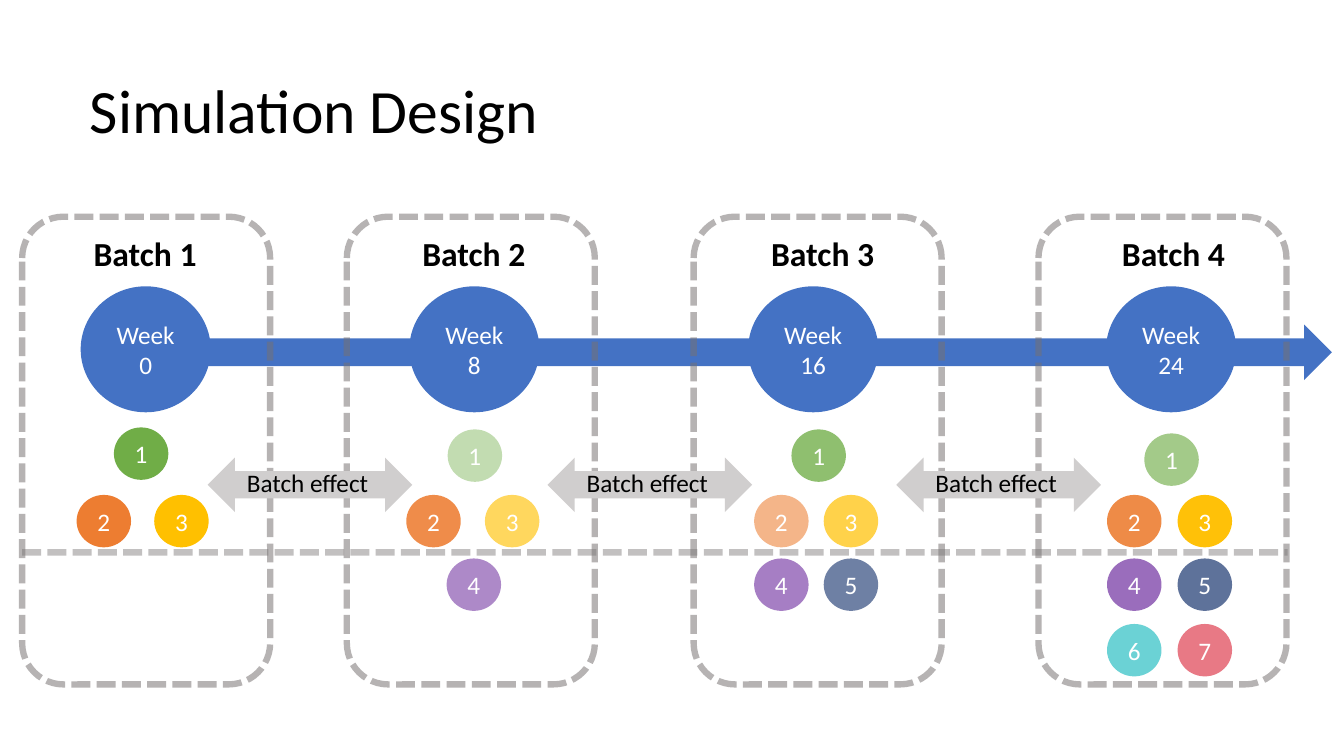
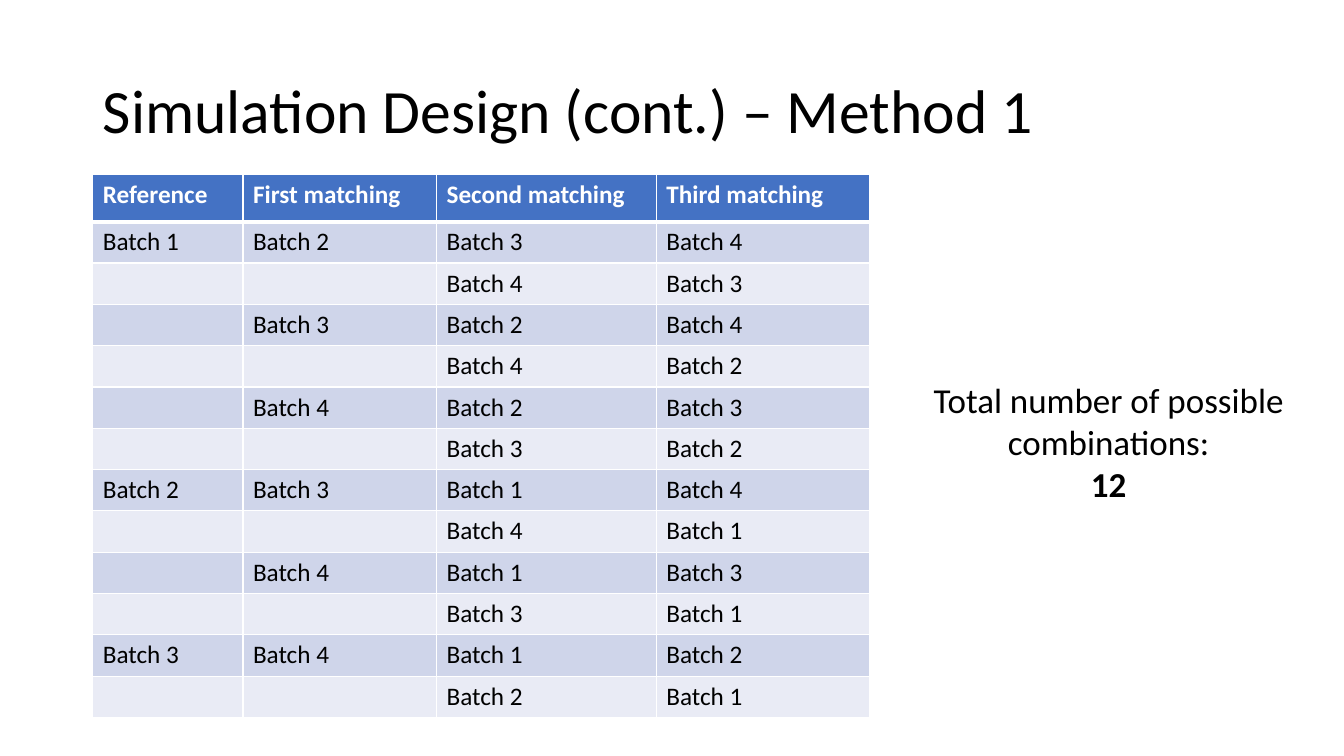
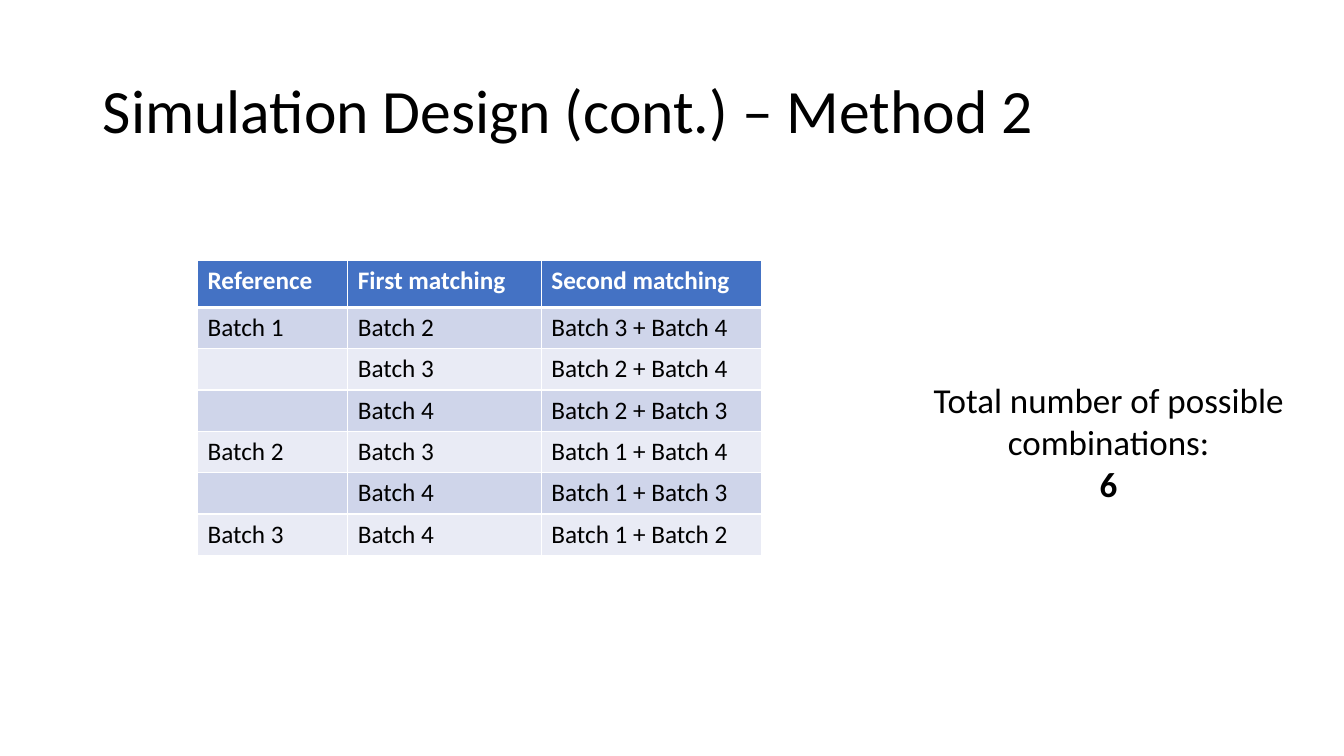
import itertools

import lxml.etree
import pptx
import pptx.dml.color
import pptx.enum.dml
import pptx.enum.shapes
import pptx.enum.text
import pptx.oxml.ns
import pptx.util

Inches = pptx.util.Inches
SHAPE = pptx.enum.shapes.MSO_SHAPE
ALIGN = pptx.enum.text.PP_ALIGN
ANCHOR = pptx.enum.text.MSO_ANCHOR
FIT = pptx.enum.text.MSO_AUTO_SIZE

FONT = "Calibri"
BLACK, WHITE, BLUE = "000000", "FFFFFF", "4472C4"
FRAME_GREY, ARROW_GREY = "767171", "D0CECE"
BANDS = ("CFD5EA", "E9EBF5")
CELL_COLORS = {1: "70AD47", 2: "ED7D31", 3: "FFC000", 4: "7030A0",
               5: "002060", 6: "00B2B8", 7: "E56371"}
CELL_ROWS = {2: 4.91, 3: 4.91, 4: 5.54, 5: 5.54, 6: 6.19, 7: 6.19}
HEADERS = ["Reference", "First matching", "Second matching", "Third matching"]
COLUMN_WIDTHS = [1.49, 1.92, 2.18, 2.12]

# Each batch: frame left, label left, week, week left, top of cell 1, cells as (number, left, opacity).
BATCHES = [
    (0.22, 0.83, 0, 0.8, 4.24, [(1, 1.13, 100), (2, 0.76, 100), (3, 1.53, 100)]),
    (3.44, 4.09, 8, 4.06, 4.26, [(1, 4.44, 42), (2, 4.03, 88), (3, 4.81, 63), (4, 4.43, 57)]),
    (6.88, 7.55, 16, 7.42, 4.26, [(1, 7.85, 78), (2, 7.48, 57), (3, 8.17, 71),
                                  (4, 7.48, 62), (5, 8.17, 57)]),
    (10.3, 11.03, 24, 10.97, 4.3, [(1, 11.35, 64), (2, 10.98, 89), (3, 11.68, 97),
                                   (4, 10.98, 70), (5, 11.68, 63), (6, 10.98, 58),
                                   (7, 11.68, 86)]),
]
EFFECT_LEFTS = [2.06, 5.43, 8.89]


def rgb(value):
    """Return the colour for a hex string."""
    return pptx.dml.color.RGBColor.from_string(value)


def add_child(parent, tag, **attributes):
    """Append a drawing element to a parent element."""
    return lxml.etree.SubElement(parent, pptx.oxml.ns.qn(tag), attributes)


def set_opacity(shape, percent):
    """Make the colours of a shape partly transparent."""
    for color in list(shape._element.spPr.iter(pptx.oxml.ns.qn("a:srgbClr"))):
        add_child(color, "a:alpha", val=str(percent * 1000))


def write(para, text, size, color=BLACK, bold=False):
    """Add one formatted run to a paragraph."""
    span = para.add_run()
    span.text = text
    span.font.name = FONT
    span.font.size = pptx.util.Pt(size)
    span.font.bold = bold
    span.font.color.rgb = rgb(color)


def add_titled_slide(deck, title, left):
    """Add a title-only slide and format its title."""
    slide = deck.slides.add_slide(deck.slide_layouts[5])
    box = slide.shapes.title
    box.left, box.top = Inches(left), Inches(0.4)
    box.width, box.height = Inches(11.5), Inches(1.45)
    frame = box.text_frame
    frame.auto_size = FIT.NONE
    frame.vertical_anchor = ANCHOR.MIDDLE
    para = frame.paragraphs[0]
    para.alignment = ALIGN.LEFT
    para.line_spacing = 0.9
    write(para, title, 44)
    return slide


def add_filled(shapes, kind, left, top, width, height, color, text=""):
    """Add a filled shape without outline, with optional white text."""
    shape = shapes.add_shape(kind, Inches(left), Inches(top), Inches(width), Inches(height))
    shape.shadow.inherit = False
    shape.fill.solid()
    shape.fill.fore_color.rgb = rgb(color)
    shape.line.fill.background()
    if text:
        shape.text_frame.vertical_anchor = ANCHOR.MIDDLE
        para = shape.text_frame.paragraphs[0]
        para.alignment = ALIGN.CENTER
        write(para, text, 18, WHITE)
    return shape


def add_label(shapes, text, left, top, width, height, size, bold=False):
    """Add a one-line text box that fits its text."""
    box = shapes.add_textbox(Inches(left), Inches(top), Inches(width), Inches(height))
    box.text_frame.word_wrap = False
    box.text_frame.auto_size = FIT.SHAPE_TO_FIT_TEXT
    write(box.text_frame.paragraphs[0], text, size, bold=bold)


def set_dashes(shape, opacity):
    """Give a shape the thick grey dashed line."""
    shape.line.color.rgb = rgb(FRAME_GREY)
    shape.line.width = pptx.util.Pt(4.5)
    shape.line.dash_style = pptx.enum.dml.MSO_LINE.SQUARE_DOT
    set_opacity(shape, opacity)


def add_batch_frame(shapes, left):
    """Add the dashed rounded outline of one batch."""
    frame = shapes.add_shape(SHAPE.ROUNDED_RECTANGLE, Inches(left), Inches(2.15),
                             Inches(2.46), Inches(4.64))
    frame.shadow.inherit = False
    frame.fill.background()
    set_dashes(frame, 52)


def add_divider(shapes):
    """Add the dashed line between shared and new cell types."""
    line = shapes.add_connector(pptx.enum.shapes.MSO_CONNECTOR.STRAIGHT,
                                Inches(0.22), Inches(5.48), Inches(12.77), Inches(5.48))
    set_dashes(line, 43)
    add_child(line._element.spPr, "a:effectLst")


def add_batch_effect(shapes, left):
    """Add a grouped double arrow with its label."""
    group = shapes.add_group_shape()
    add_filled(group.shapes, SHAPE.LEFT_RIGHT_ARROW, left, 4.54, 2.03, 0.54, ARROW_GREY)
    add_label(group.shapes, "Batch effect", left + 0.29, 4.59, 1.42, 0.4, 18)


def set_borders(cell, bottom):
    """Draw white borders round a table cell."""
    properties = cell._tc.get_or_add_tcPr()
    for side, width in (("L", 1), ("R", 1), ("T", 1), ("B", bottom)):
        line = add_child(properties, "a:ln" + side, w=str(pptx.util.Pt(width)))
        add_child(add_child(line, "a:solidFill"), "a:srgbClr", val=WHITE)


def add_matching_table(slide, left, top, rows):
    """Add a banded table below a blue header row."""
    count = len(rows[0])
    widths = COLUMN_WIDTHS[:count]
    table = slide.shapes.add_table(len(rows) + 1, count, Inches(left), Inches(top),
                                   Inches(sum(widths)),
                                   Inches(0.47 + 0.41 * len(rows))).table
    for column, width in zip(table.columns, widths):
        column.width = Inches(width)
    for index, texts in enumerate([HEADERS[:count]] + rows):
        header = index == 0
        table.rows[index].height = Inches(0.47 if header else 0.41)
        for cell, text in zip(table.rows[index].cells, texts):
            set_borders(cell, 3 if header else 1)
            cell.fill.solid()
            cell.fill.fore_color.rgb = rgb(BLUE if header else BANDS[(index - 1) % 2])
            para = cell.text_frame.paragraphs[0]
            if text:
                write(para, text, 18, WHITE if header else BLACK, header)


def add_total(slide, total):
    """Add the count of combinations beside a table."""
    box = slide.shapes.add_textbox(Inches(8.96), Inches(3.71), Inches(4.07), Inches(1.36))
    frame = box.text_frame
    frame.word_wrap = True
    frame.auto_size = FIT.SHAPE_TO_FIT_TEXT
    caption, number = frame.paragraphs[0], frame.add_paragraph()
    caption.alignment = number.alignment = ALIGN.CENTER
    write(caption, "Total number of possible combinations:", 25)
    write(number, str(total), 25, bold=True)


def matching_rows(merged):
    """List the matching orders, naming a repeated batch only once."""
    rows, last_reference = [], None
    names = [f"Batch {number}" for number in range(1, 5)]
    for reference, first in itertools.combinations(names, 2):
        rest = [name for name in names if name not in (reference, first)]
        endings = [[" + ".join(rest)]] if merged else [rest, rest[::-1]]
        for index, ending in enumerate(endings):
            shown = "" if reference == last_reference else reference
            rows.append([shown, "" if index else first] + ending)
            last_reference = reference
    return rows


def build_timeline(deck):
    """Build the slide with four batches along a time arrow."""
    shapes = add_titled_slide(deck, "Simulation Design", 0.79).shapes
    add_filled(shapes, SHAPE.RIGHT_ARROW, 0.91, 3.22, 12.3, 0.55, BLUE)
    for _, _, week, week_left, first_top, cells in BATCHES:
        add_filled(shapes, SHAPE.OVAL, week_left, 2.84, 1.29, 1.25, BLUE, f"Week {week}")
        for number, left, opacity in cells:
            circle = add_filled(shapes, SHAPE.OVAL, left, CELL_ROWS.get(number, first_top),
                                0.54, 0.52, CELL_COLORS[number], str(number))
            if opacity < 100:
                circle_fill = circle._element.spPr.find(pptx.oxml.ns.qn("a:solidFill"))
                add_child(circle_fill[0], "a:alpha", val=str(opacity * 1000))
    for batch in BATCHES:
        add_batch_frame(shapes, batch[0])
    add_divider(shapes)
    for number, batch in enumerate(BATCHES, 1):
        add_label(shapes, f"Batch {number}", batch[1], 2.26, 1.23, 0.5, 24, True)
    for left in EFFECT_LEFTS:
        add_batch_effect(shapes, left)


def build_method(deck, number, left, top, merged):
    """Build one slide with a matching table and its total."""
    slide = add_titled_slide(deck, f"Simulation Design (cont.) – Method {number}", 0.92)
    rows = matching_rows(merged)
    add_matching_table(slide, left, top, rows)
    add_total(slide, len(rows))


def main():
    """Build and save the deck."""
    deck = pptx.Presentation()
    deck.slide_width, deck.slide_height = Inches(13.33), Inches(7.5)
    build_timeline(deck)
    build_method(deck, 1, 0.92, 1.73, False)
    build_method(deck, 2, 1.96, 2.58, True)
    deck.save("out.pptx")


main()
